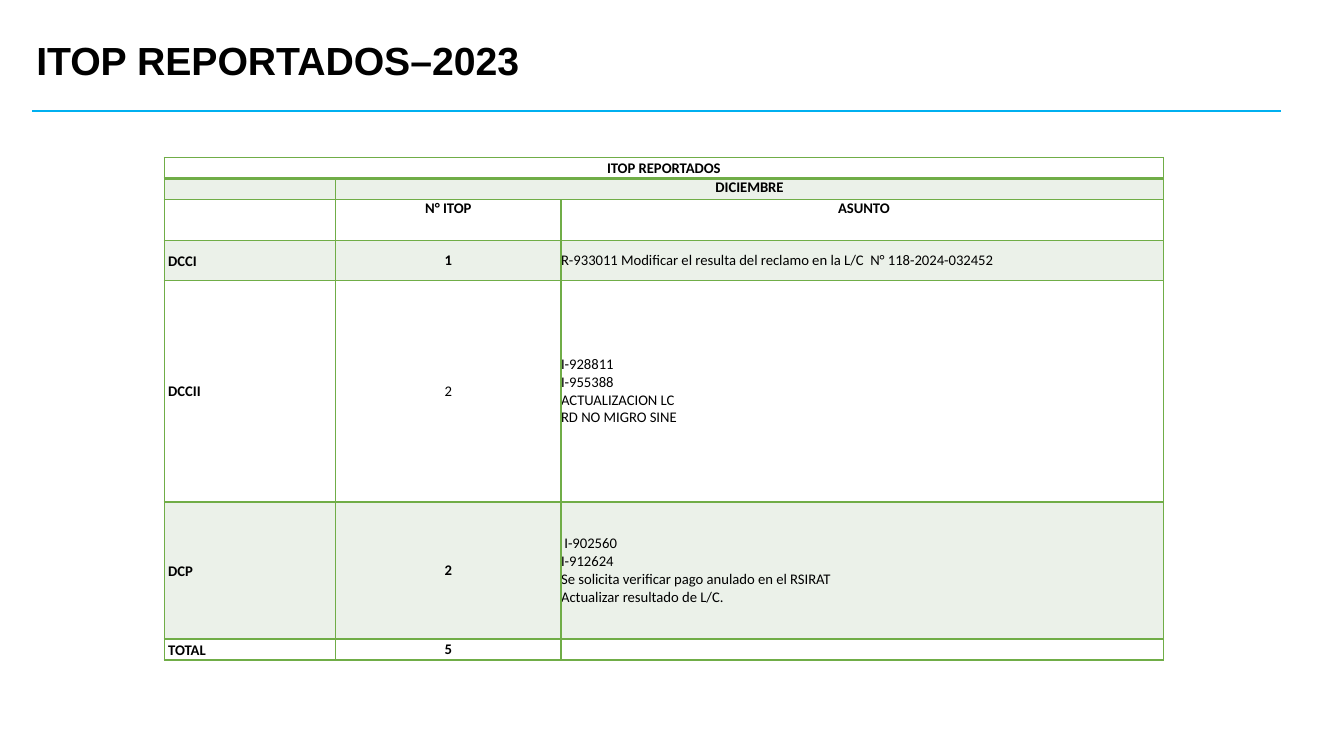
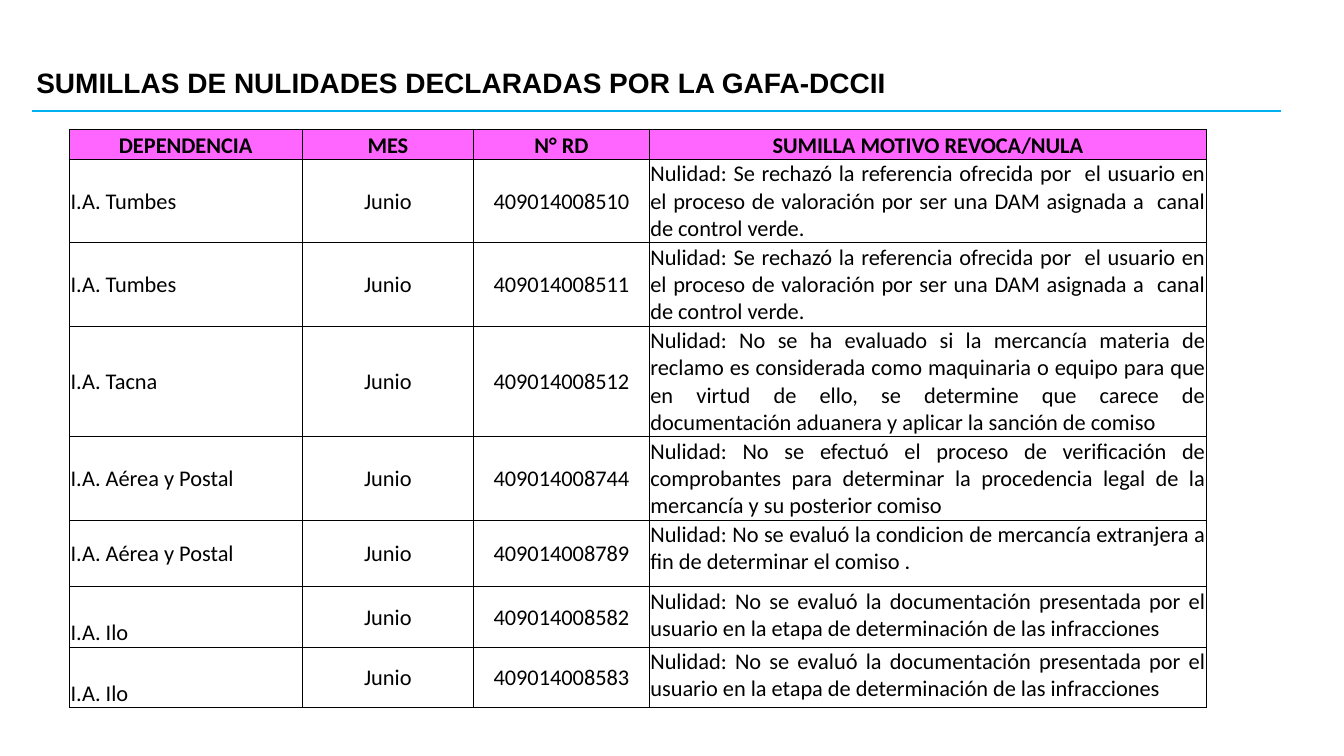
from lxml import etree
from pptx import Presentation
from pptx.dml.color import RGBColor
from pptx.enum.shapes import MSO_CONNECTOR
from pptx.enum.text import MSO_ANCHOR, MSO_AUTO_SIZE, PP_ALIGN
from pptx.oxml.ns import qn
from pptx.util import Cm, Pt

STRAIGHT = MSO_CONNECTOR.STRAIGHT
NO_AUTOFIT = MSO_AUTO_SIZE.NONE
TOP, MIDDLE, BOTTOM = MSO_ANCHOR.TOP, MSO_ANCHOR.MIDDLE, MSO_ANCHOR.BOTTOM
LEFT, CENTER, JUSTIFY = PP_ALIGN.LEFT, PP_ALIGN.CENTER, PP_ALIGN.JUSTIFY

COLORS = {
    "text": "000000",
    "rule": "00B0F0",
    "green": "70AD47",
    "pale": "EBF1E9",
    "pink": "FF66FF",
    "black": "000000",
}
TITLE_FONT, TABLE_FONT = "Arial", "Calibri"
TITLE_ONLY = 5


def rgb(name):
    return RGBColor.from_string(COLORS[name])


class Deck:
    """Holds the presentation, its style and the current slide."""

    def __init__(self):
        self.presentation = Presentation()
        self.presentation.slide_width = Cm(33.87)
        self.presentation.slide_height = Cm(19.05)
        self.slide = None

    def add_slide(self, title, size, top, height):
        layout = self.presentation.slide_layouts[TITLE_ONLY]
        self.slide = self.presentation.slides.add_slide(layout)
        self.add_rule()
        shape = self.slide.shapes.title
        shape.left, shape.top = Cm(0.66), Cm(top)
        shape.width, shape.height = Cm(29.21), Cm(height)
        frame = shape.text_frame
        frame.text = title
        frame.word_wrap = True
        frame.auto_size = NO_AUTOFIT
        frame.vertical_anchor = MIDDLE
        paragraph = frame.paragraphs[0]
        paragraph.alignment = LEFT
        paragraph.line_spacing = 0.9
        self.set_font(paragraph, TITLE_FONT, size, True)

    def add_rule(self):
        line = self.slide.shapes.add_connector(
            STRAIGHT, Cm(0.81), Cm(2.79), Cm(32.28), Cm(2.79))
        line.line.color.rgb = rgb("rule")
        line.line.width = Pt(1.5)
        etree.SubElement(line._element.spPr, qn("a:effectLst"))

    def add_table(self, left, top, widths, heights, rows, size, border, style):
        """style(row, column) gives the look of one cell."""
        table = self.slide.shapes.add_table(
            len(rows), len(widths), Cm(left), Cm(top),
            Cm(sum(widths)), Cm(sum(heights))).table
        table.first_row = table.horz_banding = False
        for column, width in zip(table.columns, widths):
            column.width = Cm(width)
        for row, height in zip(table.rows, heights):
            row.height = Cm(height)
        for row, texts in enumerate(rows):
            for column, text in enumerate(texts):
                self.fill_cell(table.cell(row, column), text, size, border,
                               **style(row, column))
        return table

    def fill_cell(self, cell, text, size, border, bold, align, anchor,
                  inset, fill, edges):
        cell.text = text
        cell.vertical_anchor = anchor
        cell.margin_left = cell.margin_right = Cm(inset)
        cell.margin_top = Cm(0.03 if inset else 0)
        cell.margin_bottom = 0
        for paragraph in cell.text_frame.paragraphs:
            paragraph.alignment = align
            self.set_font(paragraph, TABLE_FONT, size, bold)
            if not text:  # keeps an empty cell from stretching its row
                etree.SubElement(paragraph._p, qn("a:endParaRPr"),
                                 sz=str(int(size * 100)))
        self.set_borders(cell, border, edges)
        if fill:
            cell.fill.solid()
            cell.fill.fore_color.rgb = rgb(fill)
        else:
            cell.fill.background()

    @staticmethod
    def set_borders(cell, border, edges):
        color, width = border
        properties = cell._tc.get_or_add_tcPr()
        for side in "LRTB":
            line = etree.SubElement(properties, qn(f"a:ln{side}"),
                                    w=str(Pt(edges.get(side, width))))
            solid = etree.SubElement(line, qn("a:solidFill"))
            etree.SubElement(solid, qn("a:srgbClr"), val=COLORS[color])

    @staticmethod
    def set_font(paragraph, name, size, bold):
        font = paragraph.font
        font.name, font.size, font.bold = name, Pt(size), bold
        font.color.rgb = rgb("text")


# Reported tickets
TICKETS = [
    ("ITOP REPORTADOS", "", ""),
    ("", "DICIEMBRE", ""),
    ("", "N° ITOP", " ASUNTO"),
    ("DCCI", "1",
     "R-933011 Modificar el resulta del reclamo en la L/C  N° 118-2024-032452"),
    ("DCCII", "2", "I-928811\nI-955388\nACTUALIZACION LC\nRD NO MIGRO SINE"),
    ("DCP", "2", " I-902560\nI-912624\n"
     "Se solicita verificar pago anulado en el RSIRAT\n"
     "Actualizar resultado de L/C."),
    ("TOTAL", "5", ""),
]


def ticket_style(row, column):
    heading = row < 3
    return {
        "bold": heading or (column < 2 and (row, column) != (4, 1)),
        "align": CENTER if heading or column == 1 else LEFT,
        "anchor": TOP if row in (1, 2) else MIDDLE,
        "inset": 0 if column else 0.1,
        "fill": "pale" if row % 2 else None,
        "edges": {"B": 2.25} if row == 0 else {},
    }


def ticket_slide(deck):
    deck.add_slide("ITOP REPORTADOS–2023", 28, 0.69, 1.78)
    table = deck.add_table(
        4.14, 3.97, [4.32, 5.68, 15.18],
        [0.53, 0.53, 1.04, 0.99, 5.59, 3.45, 0.53],
        TICKETS, 10.5, ("green", 1), ticket_style)
    table.cell(0, 0).merge(table.cell(0, 2))
    table.cell(1, 1).merge(table.cell(1, 2))


# Annulled resolutions
REFERENCE = ("Nulidad: Se rechazó la referencia ofrecida por  el usuario en el "
             "proceso de valoración por ser una DAM asignada a  canal de "
             "control verde.")
DOCUMENTS = ("Nulidad: No se evaluó la documentación presentada por el usuario "
             "en la etapa de determinación de las infracciones ")
RESOLUTIONS = [
    ("I.A. Tumbes", "409014008510", REFERENCE),
    ("I.A. Tumbes", "409014008511", REFERENCE),
    ("I.A. Tacna", "409014008512",
     "Nulidad: No se ha evaluado si la mercancía materia de reclamo es "
     "considerada como maquinaria o equipo para que en virtud de ello, se "
     "determine que carece de documentación aduanera y aplicar la sanción "
     "de comiso"),
    ("I.A. Aérea y Postal", "409014008744",
     "Nulidad: No se efectuó el proceso de verificación de comprobantes para "
     "determinar la procedencia legal de la mercancía y su posterior comiso"),
    ("I.A. Aérea y Postal", "409014008789",
     "Nulidad: No se evaluó la condicion de mercancía extranjera a fin de "
     "determinar el comiso ."),
    ("I.A. Ilo", "409014008582", DOCUMENTS),
    ("I.A. Ilo", "409014008583", DOCUMENTS),
]


def resolution_style(row, column):
    heading = row == 0
    if heading or (column == 0 and row > 5):
        anchor = BOTTOM
    else:
        anchor = TOP if column == 3 else MIDDLE
    return {
        "bold": heading,
        "align": CENTER if heading else (LEFT, CENTER, CENTER, JUSTIFY)[column],
        "anchor": anchor,
        "inset": 0.03,
        "fill": "pink" if heading else None,
        "edges": {"T": 1} if heading else {},
    }


def resolution_slide(deck):
    deck.add_slide("SUMILLAS DE NULIDADES DECLARADAS POR LA GAFA-DCCII",
                   20, 0.94, 2.36)
    rows = [("DEPENDENCIA", "MES", "N° RD", "SUMILLA MOTIVO REVOCA/NULA")]
    rows += [(office, "Junio", number, reason)
             for office, number, reason in RESOLUTIONS]
    deck.add_table(
        1.75, 3.27, [5.86, 4.33, 4.42, 14.05],
        [0.74, 2.08, 2.08, 2.78, 2.08, 1.68, 1.52, 1.52],
        rows, 16, ("black", 0.5), resolution_style)


def main():
    deck = Deck()
    ticket_slide(deck)
    resolution_slide(deck)
    deck.presentation.save("out.pptx")


if __name__ == "__main__":
    main()
